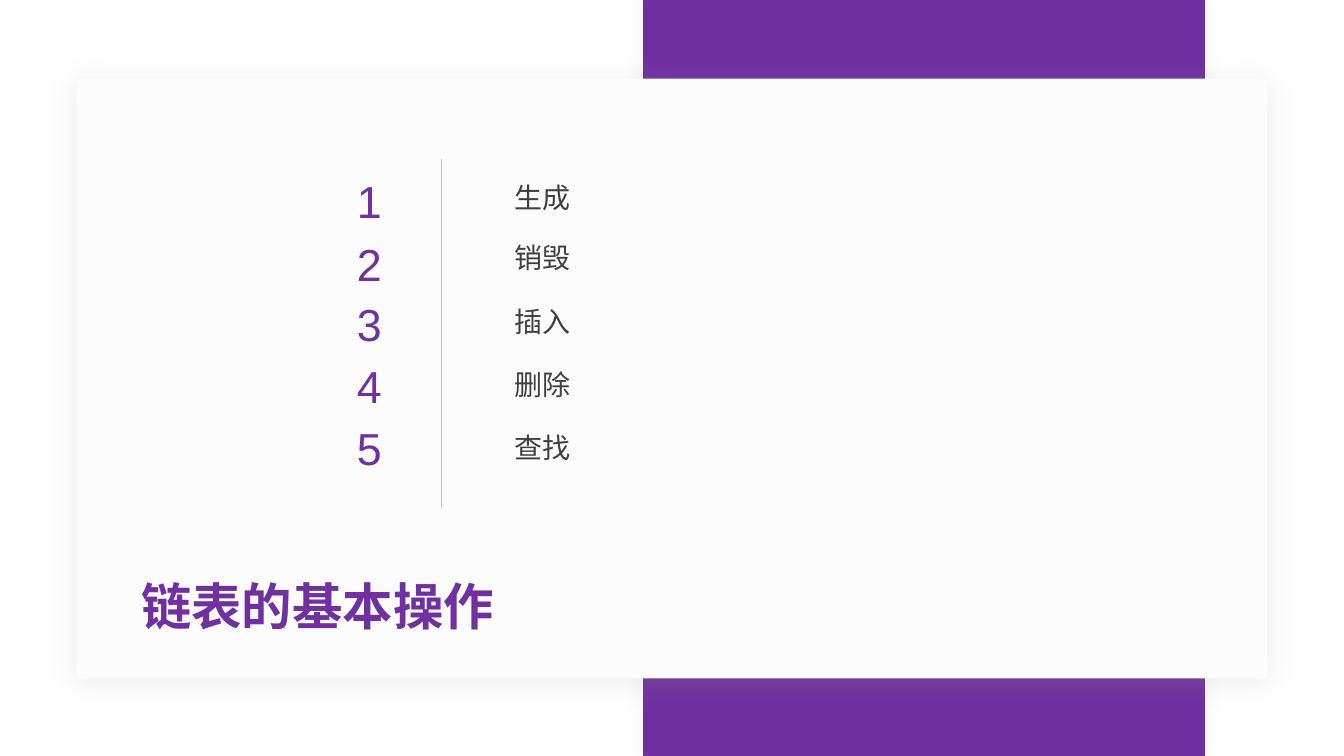
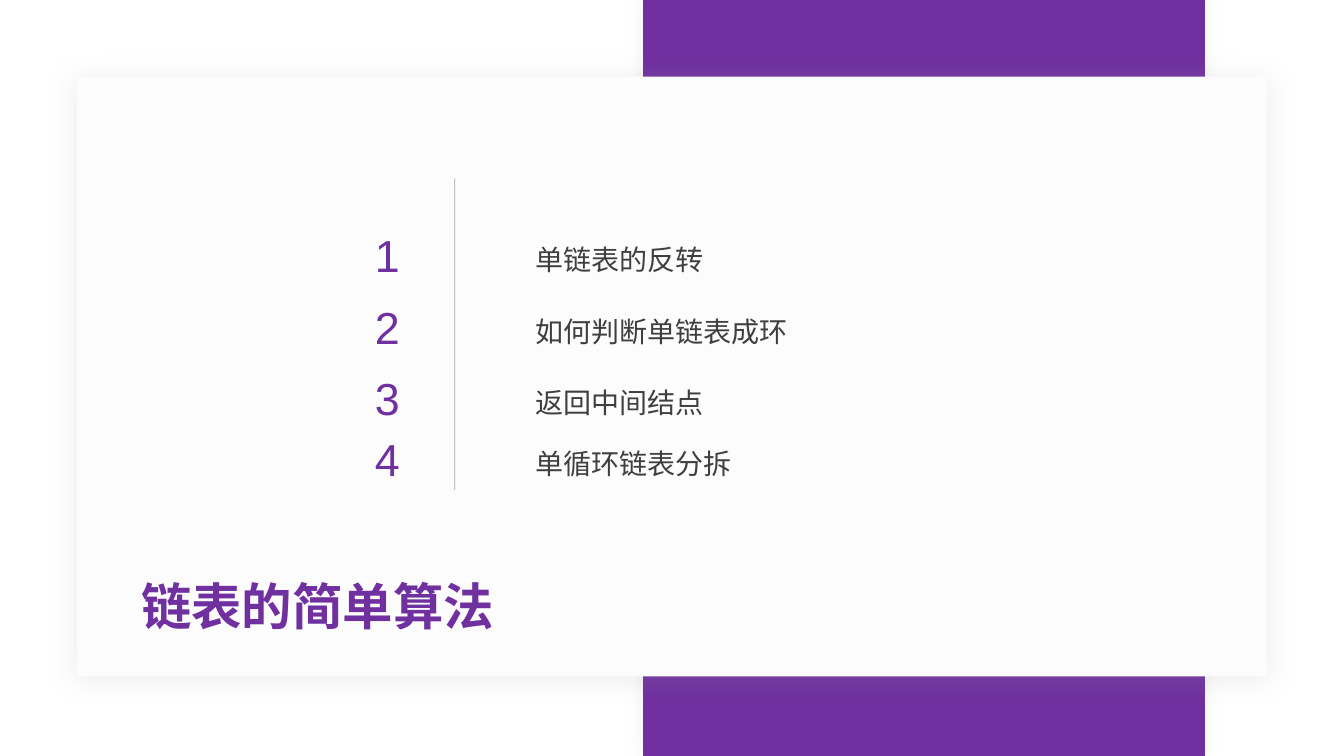
from dataclasses import dataclass

from lxml import etree
from pptx import Presentation
from pptx.dml.color import RGBColor
from pptx.enum.shapes import MSO_CONNECTOR, MSO_SHAPE
from pptx.enum.text import MSO_ANCHOR, MSO_AUTO_SIZE, PP_ALIGN
from pptx.oxml.ns import qn
from pptx.util import Inches, Pt

RECT = MSO_SHAPE.RECTANGLE
STRAIGHT = MSO_CONNECTOR.STRAIGHT
GROW = MSO_AUTO_SIZE.SHAPE_TO_FIT_TEXT
TOP = MSO_ANCHOR.TOP
LEFT, CENTER = PP_ALIGN.LEFT, PP_ALIGN.CENTER


@dataclass(frozen=True)
class Theme:
    accent: str = "7030A0"
    card: str = "FCFCFD"
    ink: str = "3F403E"
    rule: str = "262626"
    glow: str = "D5D7D5"
    shade: str = "969F98"
    latin: str = "Arial"
    asian: str = "Noto Sans CJK SC"
    title: int = 36
    digit: int = 32
    label: int = 20


theme = Theme()


def write(shape, text, size, color, font=theme.latin, bold=False,
          align=LEFT, wrap=True, leading=1.0, spacing=0):
    """Fill a text shape with one formatted paragraph."""
    frame = shape.text_frame
    frame.text = text
    frame.word_wrap = wrap
    frame.auto_size = GROW
    frame.vertical_anchor = TOP
    para = frame.paragraphs[0]
    para.alignment = align
    para.line_spacing = leading
    run = para.runs[0]
    run.font.size = Pt(size)
    run.font.bold = bold
    run.font.color.rgb = RGBColor.from_string(color)
    run.font.name = font
    props = run.font._element
    etree.SubElement(props, qn("a:ea"), typeface=theme.asian)
    if spacing:
        props.set("spc", str(spacing * 100))


def panel(slide, box, fill, shadow):
    """Draw a borderless rectangle with a soft shadow."""
    shape = slide.shapes.add_shape(RECT, *map(Inches, box))
    shape.fill.solid()
    shape.fill.fore_color.rgb = RGBColor.from_string(fill)
    shape.line.fill.background()
    shape.shadow.inherit = False
    color, alpha, blur, dist, angle = shadow
    effects = shape.element.spPr.find(qn("a:effectLst"))
    outer = etree.SubElement(
        effects, qn("a:outerShdw"), blurRad=str(Pt(blur)), dist=str(Pt(dist)),
        dir=str(angle * 60000), algn="ctr", rotWithShape="0")
    tint = etree.SubElement(outer, qn("a:srgbClr"), val=color)
    etree.SubElement(tint, qn("a:alpha"), val=str(alpha * 1000))


# Each row: label, label top, digit top
pages = [
    dict(title="链表的基本操作", card=0.78, digit=3.44, label=5,
         rule=(4.38, 1.58, 5.03),
         rows=[("生成", 1.67, 1.67), ("销毁", 2.27, 2.3), ("插入", 2.9, 2.89),
               ("删除", 3.53, 3.51), ("查找", 4.16, 4.12)]),
    dict(title="链表的简单算法", card=0.76, digit=3.62, label=5.21,
         rule=(4.51, 1.77, 4.86),
         rows=[("单链表的反转", 2.29, 2.21), ("如何判断单链表成环", 3, 2.92),
               ("返回中间结点", 3.71, 3.63), ("单循环链表分拆", 4.31, 4.23)]),
]

deck = Presentation()
deck.slide_width, deck.slide_height = Inches(13.33), Inches(7.5)
layout = deck.slide_layouts.get_by_name("Title Only")

for page in pages:
    slide = deck.slides.add_slide(layout)
    shapes = slide.shapes

    # Band and card
    panel(slide, (6.38, 0, 5.57, 7.5), theme.accent, (theme.glow, 40, 10, 0, 0))
    panel(slide, (0.76, page["card"], 11.81, 5.95), theme.card,
          (theme.shade, 20, 20, 3, 90))

    # Title, raised above the card
    title = shapes.title
    title.left, title.top = Inches(1.3), Inches(5.66)
    title.width, title.height = Inches(5.17), Inches(0.71)
    write(title, page["title"], theme.title, theme.accent, bold=True)
    title.element.getparent().append(title.element)

    # Divider
    x, top, bottom = map(Inches, page["rule"])
    rule = shapes.add_connector(STRAIGHT, x, bottom, x, top)
    rule.line.width = Pt(0.5)
    rule.line.color.rgb = RGBColor.from_string(theme.rule)
    tint = rule.element.spPr.find(".//" + qn("a:srgbClr"))
    etree.SubElement(tint, qn("a:alpha"), val="40000")
    etree.SubElement(rule.element.spPr, qn("a:effectLst"))

    # Numbered rows
    for count, (text, label_top, digit_top) in enumerate(page["rows"], 1):
        digit = shapes.add_textbox(Inches(page["digit"]), Inches(digit_top),
                                   Inches(0.39), Inches(0.64))
        write(digit, str(count), theme.digit, theme.accent,
              align=CENTER, wrap=False, spacing=-3)
        label = shapes.add_textbox(Inches(page["label"]), Inches(label_top),
                                   Inches(5.72), Inches(0.48))
        write(label, text, theme.label, theme.ink, font=theme.asian, leading=1.2)

deck.save("out.pptx")
